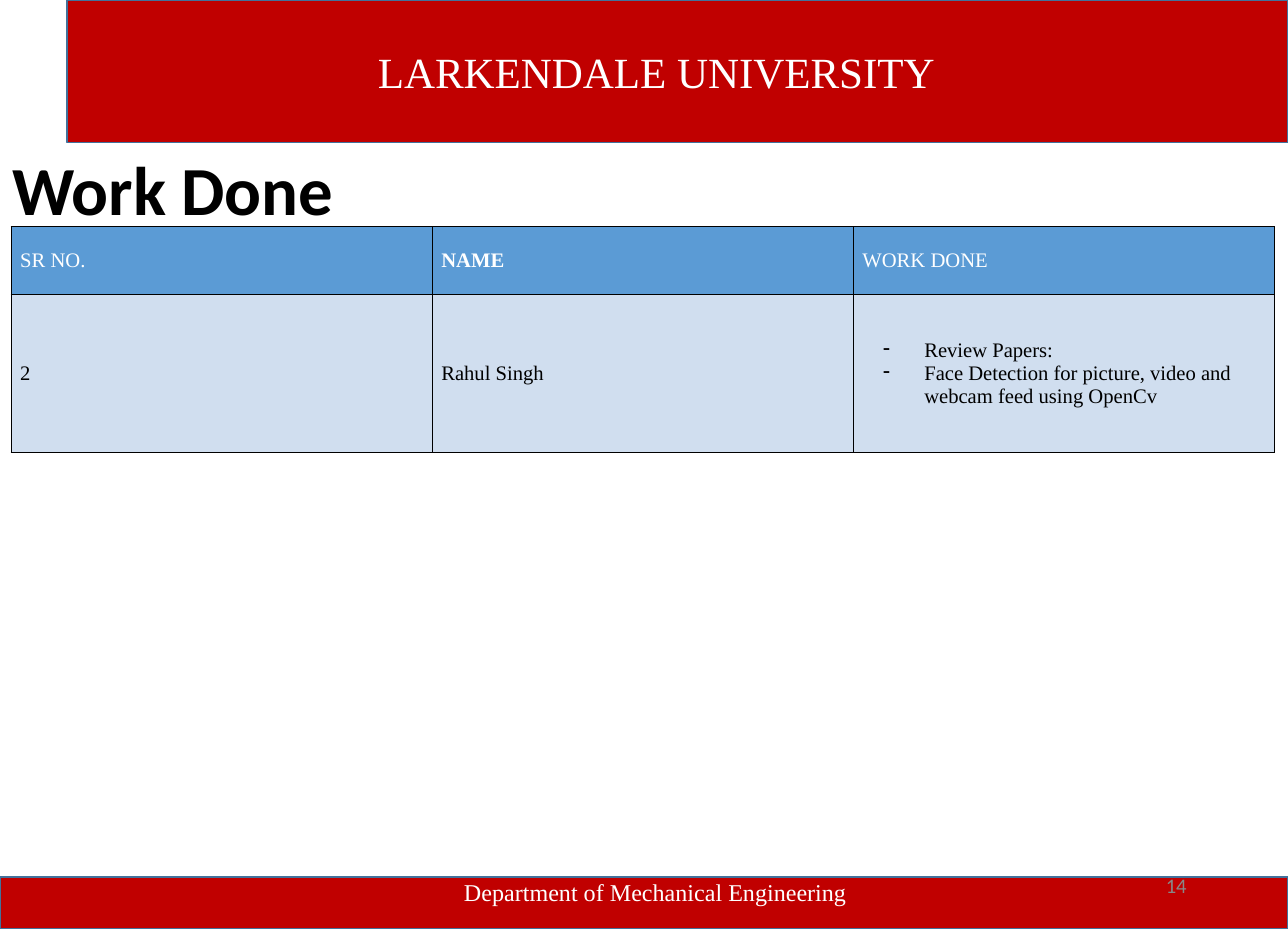
from lxml import etree
from pptx import Presentation
from pptx import util as u
from pptx.dml.color import RGBColor
from pptx.enum import shapes, text
from pptx.oxml import ns

RED = RGBColor(0xC0, 0x00, 0x00)
EDGE = RGBColor(0x42, 0x71, 0x9B)
BLUE = RGBColor(0x5B, 0x9B, 0xD5)
PALE = RGBColor(0xD0, 0xDE, 0xEF)
GREY = RGBColor(0x88, 0x88, 0x88)
WHITE = RGBColor(0xFF, 0xFF, 0xFF)
BLACK = RGBColor(0x00, 0x00, 0x00)
SERIF, SANS = "Times New Roman", "Calibri"
WIDE, HIGH = 748.8, 540
MIDDLE, TOP = text.MSO_ANCHOR.MIDDLE, text.MSO_ANCHOR.TOP
LEFT, RIGHT = text.PP_ALIGN.LEFT, text.PP_ALIGN.RIGHT


class Deck:
    """Holds the text style and the current slide."""

    def __init__(self, slide, font=SERIF, size=12):
        self.slide, self.font, self.size = slide, font, size

    def add(self, para, words, color, size=None, bold=False, font=None):
        run = para.add_run()
        run.text = words
        face = run.font
        face.name, face.size = font or self.font, u.Pt(size or self.size)
        face.bold, face.color.rgb = bold, color

    def indent(self, para, left, first=0):
        props = para._p.get_or_add_pPr()
        props.set("marL", str(u.Pt(left)))
        props.set("indent", str(u.Pt(first)))
        return props

    def band(self, box, words, size, left, anchor=MIDDLE, inset=3.6):
        rect = self.slide.shapes.add_shape(
            shapes.MSO_SHAPE.RECTANGLE, *map(u.Pt, box))
        rect.shadow.inherit = False
        rect.fill.solid()
        rect.fill.fore_color.rgb = RED
        rect.line.color.rgb, rect.line.width = EDGE, u.Pt(1)
        frame = rect.text_frame
        frame.vertical_anchor, frame.margin_top = anchor, u.Pt(inset)
        para = frame.paragraphs[0]
        para.alignment = LEFT
        self.indent(para, left)
        self.add(para, words, WHITE, size)

    def label(self, box, words, color, size, bold=False, align=LEFT, space=1):
        frame = self.slide.shapes.add_textbox(*map(u.Pt, box)).text_frame
        frame.word_wrap, frame.vertical_anchor = True, MIDDLE
        para = frame.paragraphs[0]
        para.alignment, para.line_spacing = align, space
        self.add(para, words, color, size, bold, SANS)

    def bullet(self, para, mark="-"):
        props = self.indent(para, 36, -24)
        etree.SubElement(props, ns.qn("a:buChar")).set("char", mark)

    def border(self, cell):
        props = cell._tc.get_or_add_tcPr()
        for side in ("lnL", "lnR", "lnT", "lnB"):
            line = etree.SubElement(props, ns.qn("a:" + side), w=str(u.Pt(0.75)))
            fill = etree.SubElement(line, ns.qn("a:solidFill"))
            etree.SubElement(fill, ns.qn("a:srgbClr"), val=str(BLACK))

    def cell(self, cell, lines, fill, color, bold):
        self.border(cell)
        cell.fill.solid()
        cell.fill.fore_color.rgb = fill
        cell.vertical_anchor = MIDDLE
        cell.margin_left = cell.margin_right = u.Pt(5.3)
        cell.margin_top = cell.margin_bottom = 0
        frame = cell.text_frame
        for i, words in enumerate(lines):
            para = frame.add_paragraph() if i else frame.paragraphs[0]
            if len(lines) > 1:
                self.bullet(para)
            self.add(para, words, color, bold=bold)

    def table(self, left, top, width, heights, rows):
        grid = self.slide.shapes.add_table(
            len(rows), len(rows[0]), u.Pt(left), u.Pt(top),
            u.Pt(width * len(rows[0])), u.Pt(sum(heights))).table
        for col in grid.columns:
            col.width = u.Pt(width)
        for r, (row, height) in enumerate(zip(rows, heights)):
            grid.rows[r].height = u.Pt(height)
            fill, color = (PALE, BLACK) if r else (BLUE, WHITE)
            for c, lines in enumerate(row):
                self.cell(grid.cell(r, c), lines, fill, color, lines == ["NAME"])


def main():
    prs = Presentation()
    prs.slide_width, prs.slide_height = u.Pt(WIDE), u.Pt(HIGH)
    deck = Deck(prs.slides.add_slide(prs.slide_layouts[6]))

    # Header and footer bands
    deck.band((38.9, 0, WIDE - 38.9, 82.8), "LARKENDALE UNIVERSITY", 25, 173.7)
    deck.band((0, 509.8, WIDE, HIGH - 509.8),
              "Department of Mechanical Engineering", 14, 262.7, TOP, 0)

    # Title and page number
    deck.label((0, 85.7, 645.8, 53.3), "Work Done", BLACK, 40, True, space=0.9)
    deck.label((528.5, 500.4, 168.5, 28.8), "14", GREY, 12, align=RIGHT)

    # Work table
    deck.table(6.5, 131.8, 244.8, (39.6, 91.7), [
        [["SR NO."], ["NAME"], ["WORK DONE"]],
        [["2"], ["Rahul Singh"],
         ["Review Papers:",
          "Face Detection for picture, video and webcam feed using OpenCv"]],
    ])
    prs.save("out.pptx")


if __name__ == "__main__":
    main()
